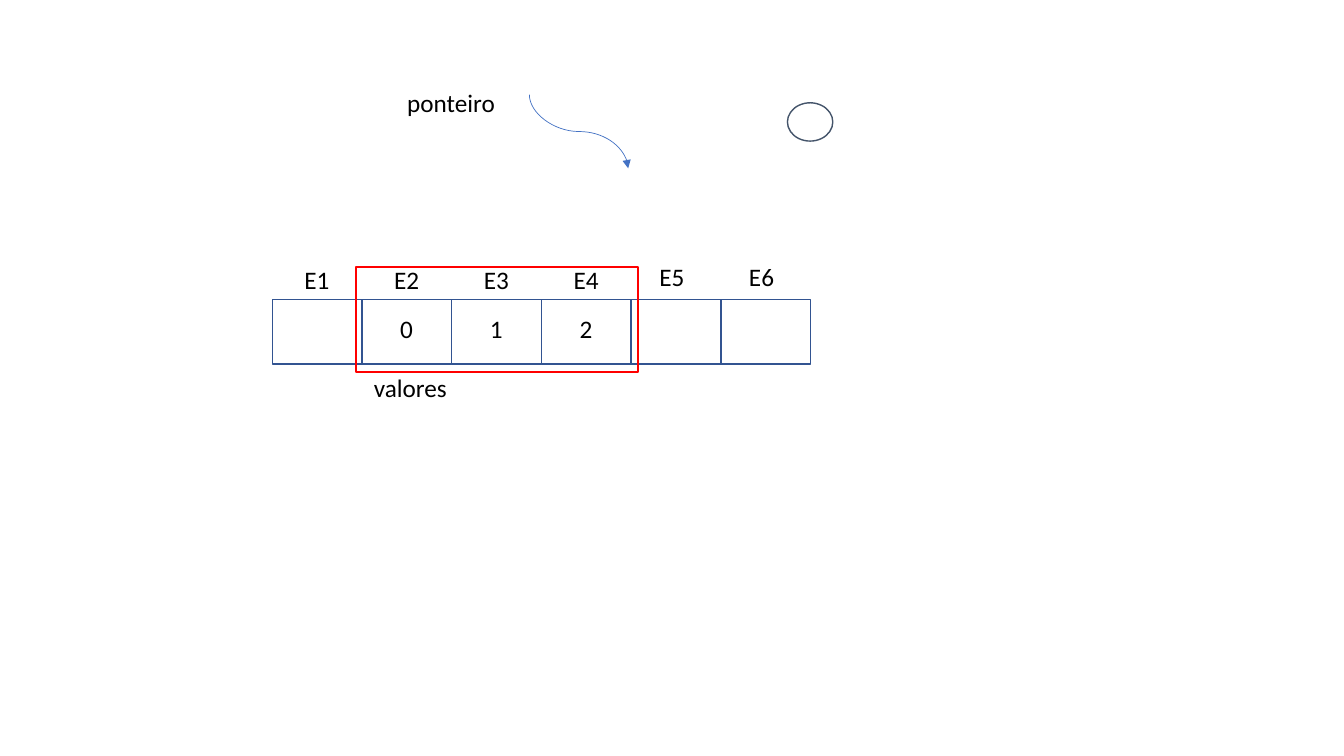
from lxml.etree import SubElement
from pptx import Presentation
from pptx.dml.color import RGBColor
from pptx.enum.shapes import MSO_CONNECTOR, MSO_SHAPE
from pptx.enum.text import MSO_AUTO_SIZE
from pptx.oxml.ns import qn
from pptx.util import Inches, Pt

BLACK = RGBColor(0x00, 0x00, 0x00)
CELL_BLUE = RGBColor(0x32, 0x54, 0x91)
ARROW_BLUE = RGBColor(0x44, 0x72, 0xC4)
SLATE = RGBColor(0x44, 0x54, 0x6A)
RED = RGBColor(0xFF, 0x00, 0x00)

ARRAY_LEFT, ARRAY_TOP = 2.7, 2.97
COLUMN, ROW = 0.89, 0.64
CELL_COUNT = 6
LABEL_HEIGHT = 0.4
LABEL_WIDTH = 0.45
DIGIT_WIDTH = 0.33


def column_left(index):
    return ARRAY_LEFT + index * COLUMN


def add_outline(slide, preset, left, top, width, height, color):
    shape = slide.shapes.add_shape(
        preset, Inches(left), Inches(top), Inches(width), Inches(height))
    shape.shadow.inherit = False
    shape.fill.background()
    shape.line.color.rgb = color
    shape.line.width = Pt(1)


def add_label(slide, text, left, top, width, wrap=False):
    box = slide.shapes.add_textbox(
        Inches(left), Inches(top), Inches(width), Inches(LABEL_HEIGHT))
    frame = box.text_frame
    frame.text = text
    frame.word_wrap = wrap
    frame.auto_size = MSO_AUTO_SIZE.SHAPE_TO_FIT_TEXT
    font = frame.paragraphs[0].runs[0].font
    font.name = "Calibri"
    font.size = Pt(18)
    font.color.rgb = BLACK


def add_falling_arrow(slide, start_x, start_y, end_x, end_y):
    center_x, center_y = (start_x + end_x) / 2, (start_y + end_y) / 2
    half_width, half_height = (end_y - start_y) / 2, (end_x - start_x) / 2
    connector = slide.shapes.add_connector(
        MSO_CONNECTOR.CURVE,
        Inches(center_x + half_width), Inches(center_y - half_height),
        Inches(center_x - half_width), Inches(center_y + half_height))
    connector.line.color.rgb = ARROW_BLUE
    connector.line.width = Pt(0.5)
    properties = connector._element.spPr
    properties.find(qn("a:xfrm")).set("rot", str(270 * 60000))
    SubElement(properties.find(qn("a:ln")), qn("a:tailEnd"), type="triangle")
    SubElement(properties, qn("a:effectLst"))


def add_array(slide):
    for index in range(CELL_COUNT):
        add_outline(slide, MSO_SHAPE.RECTANGLE, column_left(index), ARRAY_TOP,
                    COLUMN, ROW, CELL_BLUE)
    for index in range(CELL_COUNT):
        inset, rise = (0.22, 0.4) if index < 4 else (0.18, 0.43)
        add_label(slide, f"E{index + 1}", column_left(index) + inset,
                  ARRAY_TOP - rise, LABEL_WIDTH)
    for index, value in enumerate("012", start=1):
        add_label(slide, value, column_left(index) + (COLUMN - DIGIT_WIDTH) / 2,
                  ARRAY_TOP + 0.09, DIGIT_WIDTH)


def main():
    presentation = Presentation()
    presentation.slide_width = Inches(13.33)
    presentation.slide_height = Inches(7.5)
    slide = presentation.slides.add_slide(presentation.slide_layouts[6])

    add_array(slide)
    add_label(slide, "valores", 3.61, ARRAY_TOP + ROW + 0.03, 0.93, wrap=True)
    add_label(slide, "ponteiro", 3.94, 0.82, 1.08)
    add_falling_arrow(slide, 5.25, 0.94, 6.23, 1.67)
    add_outline(slide, MSO_SHAPE.OVAL, 7.81, 1.02, 0.45, 0.38, SLATE)
    add_outline(slide, MSO_SHAPE.RECTANGLE, 3.53, 2.65, 2.8, 1.04, RED)

    presentation.save("out.pptx")


if __name__ == "__main__":
    main()
